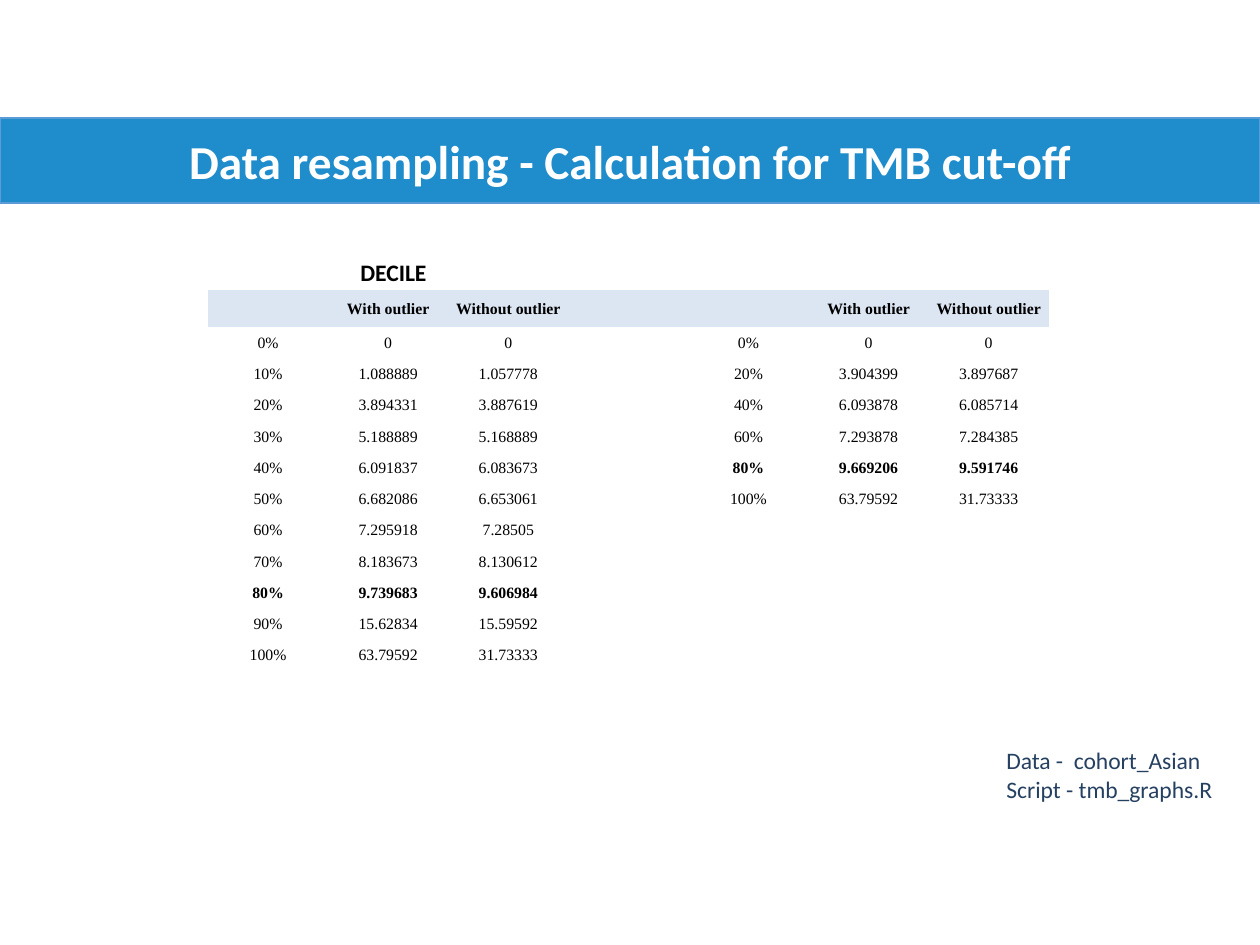
from typing import NamedTuple

from pptx import Presentation
from pptx.dml.color import RGBColor
from pptx.enum.shapes import MSO_SHAPE
from pptx.enum.text import MSO_ANCHOR, MSO_AUTO_SIZE, PP_ALIGN
from pptx.oxml.ns import qn
from pptx.util import Emu, Pt

WHITE = RGBColor(0xFF, 0xFF, 0xFF)
BLACK = RGBColor(0, 0, 0)
BLUE = RGBColor(0x1F, 0x8D, 0xCC)
EDGE = RGBColor(0x5B, 0x9B, 0xD6)
PALE = RGBColor(0xDC, 0xE6, 0xF2)
NAVY = RGBColor(0x25, 0x40, 0x61)

SANS, SERIF = "Calibri", "Times New Roman"
PLAIN = "{2D5ABB26-0587-4C30-8999-92F81FD0307C}"  # table style without grid
DPI = 126


class Box(NamedTuple):
    x: int
    y: int
    w: int
    h: int


class Group(NamedTuple):
    col: int
    rows: list[tuple[str, str, str]]


HEADS = ("", "With outlier", "Without outlier")
KEY = "80%"  # the cut-off row, set in bold
GROUPS = [
    Group(0, [
        ("0%", "0", "0"),
        ("10%", "1.088889", "1.057778"),
        ("20%", "3.894331", "3.887619"),
        ("30%", "5.188889", "5.168889"),
        ("40%", "6.091837", "6.083673"),
        ("50%", "6.682086", "6.653061"),
        ("60%", "7.295918", "7.28505"),
        ("70%", "8.183673", "8.130612"),
        ("80%", "9.739683", "9.606984"),
        ("90%", "15.62834", "15.59592"),
        ("100%", "63.79592", "31.73333"),
    ]),
    Group(4, [
        ("0%", "0", "0"),
        ("20%", "3.904399", "3.897687"),
        ("40%", "6.093878", "6.085714"),
        ("60%", "7.293878", "7.284385"),
        ("80%", "9.669206", "9.591746"),
        ("100%", "63.79592", "31.73333"),
    ]),
]


def px(n: int) -> Emu:
    return Emu(round(n * 914400 / DPI))


def place(box: Box) -> list[Emu]:
    return [px(n) for n in box]


def write(frame, text: str, *, size: float, font: str = SANS, color: RGBColor = BLACK,
          bold: bool = False, align: PP_ALIGN = PP_ALIGN.LEFT) -> None:
    """Fill a text frame, one paragraph to a line."""
    for i, line in enumerate(text.split("\n")):
        para = frame.paragraphs[0] if i == 0 else frame.add_paragraph()
        para.alignment = align
        run = para.add_run()
        run.text = line
        run.font.size = Pt(size)
        run.font.name = font
        run.font.bold = bold
        run.font.color.rgb = color


def banner(slide, box: Box, text: str) -> None:
    bar = slide.shapes.add_shape(MSO_SHAPE.RECTANGLE, *place(box))
    bar.shadow.inherit = False
    bar.fill.solid()
    bar.fill.fore_color.rgb = BLUE
    bar.line.color.rgb = EDGE
    bar.line.width = Pt(0.75)
    bar.text_frame.word_wrap = True
    bar.text_frame.vertical_anchor = MSO_ANCHOR.MIDDLE
    write(bar.text_frame, text, size=27, color=WHITE, bold=True, align=PP_ALIGN.CENTER)


def label(slide, box: Box, text: str, *, wrap: bool, color: RGBColor, bold: bool) -> None:
    frame = slide.shapes.add_textbox(*place(box)).text_frame
    frame.word_wrap = wrap
    frame.auto_size = MSO_AUTO_SIZE.SHAPE_TO_FIT_TEXT
    write(frame, text, size=13.5, color=color, bold=bold)


def grid(slide, box: Box, top: int, groups: list[Group]) -> None:
    count = 1 + max(len(group.rows) for group in groups)
    width = 7
    table = slide.shapes.add_table(count, width, *place(box)).table
    table.first_row = table.horz_banding = False
    table._tbl.tblPr.find(qn("a:tableStyleId")).text = PLAIN

    # Even columns, and even rows under the header
    for col in table.columns:
        col.width = px(box.w) // width
    for i, row in enumerate(table.rows):
        row.height = px(box.h - top) // (count - 1) if i else px(top)

    # Gather the text by cell
    words = {}
    for group in groups:
        for r, row in enumerate([HEADS, *group.rows]):
            for c, text in enumerate(row):
                words[r, group.col + c] = (text, r == 0 or row[0] == KEY)

    for r in range(count):
        for c in range(width):
            cell = table.cell(r, c)
            cell.margin_left = cell.margin_right = cell.margin_top = px(1)
            cell.margin_bottom = 0
            cell.vertical_anchor = MSO_ANCHOR.MIDDLE
            if r == 0:
                cell.fill.solid()
                cell.fill.fore_color.rgb = PALE
            else:
                cell.fill.background()
            text, bold = words.get((r, c), ("", False))
            if text:
                write(cell.text_frame, text, size=9, font=SERIF, bold=bold,
                      align=PP_ALIGN.CENTER)
            else:  # keep blank cells from stretching the row
                end = cell.text_frame.paragraphs[0]._p.get_or_add_endParaRPr()
                end.set("sz", "900")


def main() -> None:
    deck = Presentation()
    deck.slide_width, deck.slide_height = px(1260), px(945)
    slide = deck.slides.add_slide(deck.slide_layouts[6])

    # Title
    banner(slide, Box(0, 118, 1260, 85), "Data resampling - Calculation for TMB cut-off")

    # Quantiles
    grid(slide, Box(208, 290, 841, 381), 37, GROUPS)
    label(slide, Box(348, 252, 93, 42), "DECILE", wrap=False, color=BLACK, bold=True)

    # Sources
    label(slide, Box(994, 740, 250, 71), "Data -  cohort_Asian\nScript - tmb_graphs.R",
          wrap=True, color=NAVY, bold=False)

    deck.save("out.pptx")


if __name__ == "__main__":
    main()
